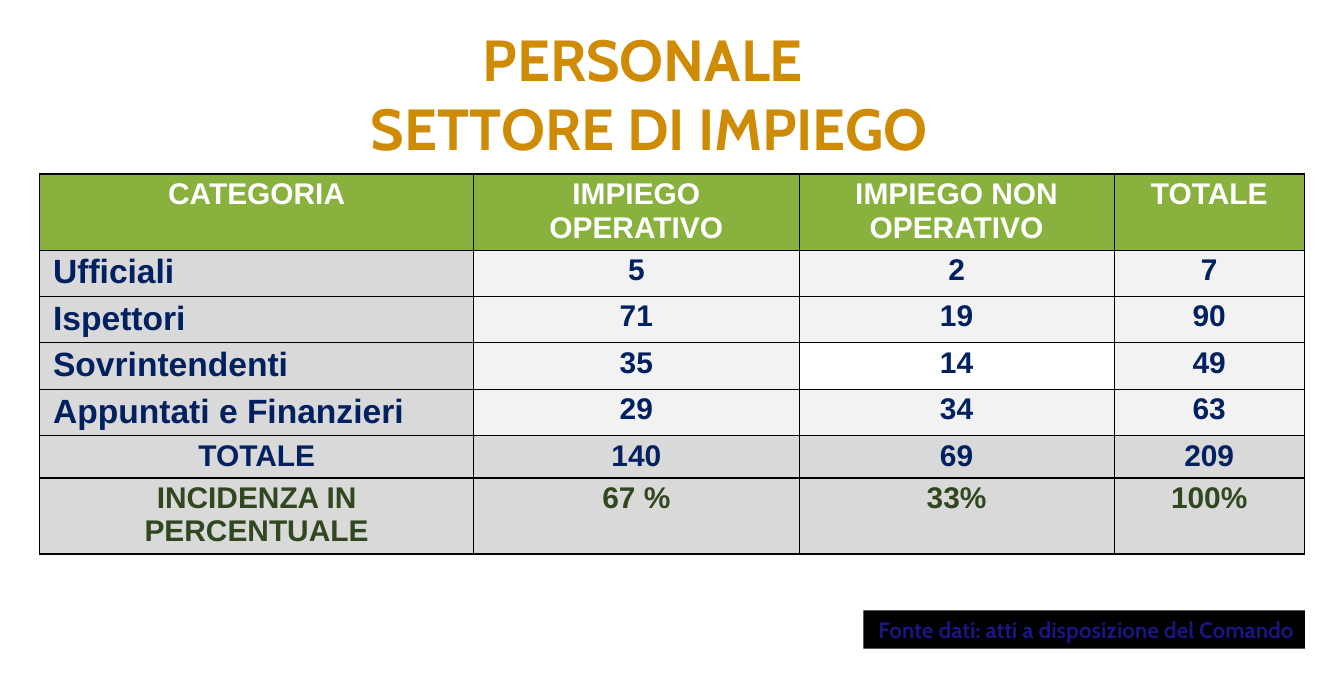
"""Build the slide on personnel by sector of employment."""
from dataclasses import dataclass

import pptx
import pptx.dml.color
import pptx.enum.text
import pptx.oxml
import pptx.oxml.ns
import pptx.util
from pptx.enum.shapes import MSO_SHAPE
from pptx.enum.text import MSO_ANCHOR, MSO_AUTO_SIZE, PP_ALIGN
from pptx.util import Inches, Pt

NAVY, GREEN, DARK_GREEN = "002060", "89B13E", "30471F"
GREY, LIGHT, WHITE, BLACK = "D9D9D9", "F2F2F2", "FFFFFF", "000000"
GOLD, INDIGO = "CF8B03", "19167F"
COLUMNS = (6.46, 4.84, 4.69, 2.83)
THIN, THICK = 1, 2


@dataclass(frozen=True)
class Row:
    texts: tuple[str, ...]
    height: float = 0.69
    label_fill: str = GREY
    fill: str = LIGHT
    color: str = NAVY
    label_size: int = 36
    label_align: PP_ALIGN = PP_ALIGN.LEFT
    top: float = THIN
    bottom: float = THIN


def summary(texts: tuple[str, ...], height: float, fill: str, color: str,
            top: float = THIN, bottom: float = THIN) -> Row:
    """Return a row with one fill and a centred label."""
    return Row(texts, height, fill, fill, color, 32, PP_ALIGN.CENTER, top, bottom)


ROWS = (
    summary(("CATEGORIA", "IMPIEGO OPERATIVO", "IMPIEGO NON OPERATIVO", "TOTALE"),
            1.13, GREEN, WHITE, top=THICK),
    Row(("Ufficiali", "5", "2", "7")),
    Row(("Ispettori", "71", "19", "90")),
    Row(("Sovrintendenti", "35", "14", "49")),
    Row(("Appuntati e Finanzieri", "29", "34", "63")),
    summary(("TOTALE", "140", "69", "209"), 0.63, GREY, NAVY, bottom=THICK),
    summary(("INCIDENZA IN PERCENTUALE", "67 %", "33%", "100%"),
            1.13, GREY, DARK_GREEN, top=THICK, bottom=THICK),
)


def rgb(value: str) -> pptx.dml.color.RGBColor:
    """Turn a hex string into a colour."""
    return pptx.dml.color.RGBColor.from_string(value)


def format_text(tf: pptx.text.text.TextFrame, font: str, size: float, color: str,
                align: PP_ALIGN) -> None:
    """Format all paragraphs of a text frame in bold."""
    for p in tf.paragraphs:
        p.alignment = align
        p.font.name, p.font.size, p.font.bold = font, Pt(size), True
        p.font.color.rgb = rgb(color)


def set_margins(target, side: float, edge: float) -> None:
    """Set the margins of a cell or a text frame."""
    target.margin_left = target.margin_right = Inches(side)
    target.margin_top = target.margin_bottom = Inches(edge)


def add_borders(cell: pptx.table._Cell, top: float, bottom: float) -> None:
    """Draw black lines on the four sides of a cell."""
    tc_pr = cell._tc.get_or_add_tcPr()
    for side, width in (("L", THIN), ("R", THIN), ("T", top), ("B", bottom)):
        tc_pr.append(pptx.oxml.parse_xml(
            f'<a:ln{side} {pptx.oxml.ns.nsdecls("a")} w="{Pt(width)}"><a:solidFill>'
            f'<a:srgbClr val="{BLACK}"/></a:solidFill></a:ln{side}>'))


def add_staff_table(s: pptx.slide.Slide) -> None:
    """Add the table of staff by category and employment."""
    table = s.shapes.add_table(
        len(ROWS), len(COLUMNS), Inches(0.59), Inches(2.59), Inches(sum(COLUMNS)),
        Inches(sum(row.height for row in ROWS))).table
    for column, width in zip(table.columns, COLUMNS):
        column.width = Inches(width)
    for i, row in enumerate(ROWS):
        table.rows[i].height = Inches(row.height)
        for j, text in enumerate(row.texts):
            cell = table.cell(i, j)
            cell.text = text
            set_margins(cell, 0.2, 0.05)
            add_borders(cell, row.top, row.bottom)
            cell.fill.solid()
            cell.fill.fore_color.rgb = rgb(row.fill if j else row.label_fill)
            format_text(cell.text_frame, "Arial", 32 if j else row.label_size, row.color,
                        PP_ALIGN.CENTER if j else row.label_align)
    table.cell(3, 2).fill.fore_color.rgb = rgb(WHITE)


def add_title(s: pptx.slide.Slide) -> None:
    """Fill and place the title."""
    sp = s.shapes.title
    sp.left, sp.top, sp.width, sp.height = map(Inches, (2.26, 0.26, 14.81, 2.24))
    tf = sp.text_frame
    tf.text = "PERSONALE \nSETTORE DI IMPIEGO"
    tf.auto_size, tf.vertical_anchor = MSO_AUTO_SIZE.NONE, MSO_ANCHOR.TOP
    set_margins(tf, 0.17, 0.09)
    format_text(tf, "Cabin", 62, GOLD, PP_ALIGN.CENTER)


def add_source_note(s: pptx.slide.Slide) -> None:
    """Add the black bar that names the data source."""
    sp = s.shapes.add_shape(MSO_SHAPE.RECTANGLE, *map(Inches, (12.85, 9.08, 6.57, 0.57)))
    sp.shadow.inherit = False
    sp.fill.solid()
    sp.fill.fore_color.rgb = rgb(BLACK)
    sp.line.fill.background()
    tf = sp.text_frame
    tf.text = "Fonte dati: atti a disposizione del Comando"
    tf.word_wrap, tf.vertical_anchor = True, MSO_ANCHOR.TOP
    set_margins(tf, 0.17, 0.09)
    format_text(tf, "Cabin", 24, INDIGO, PP_ALIGN.RIGHT)


def main() -> None:
    """Build and save the presentation."""
    prs = pptx.Presentation()
    prs.slide_width, prs.slide_height = Inches(20), Inches(10.07)
    s = prs.slides.add_slide(prs.slide_layouts[5])
    add_staff_table(s)
    add_title(s)
    add_source_note(s)
    prs.save("out.pptx")


if __name__ == "__main__":
    main()
